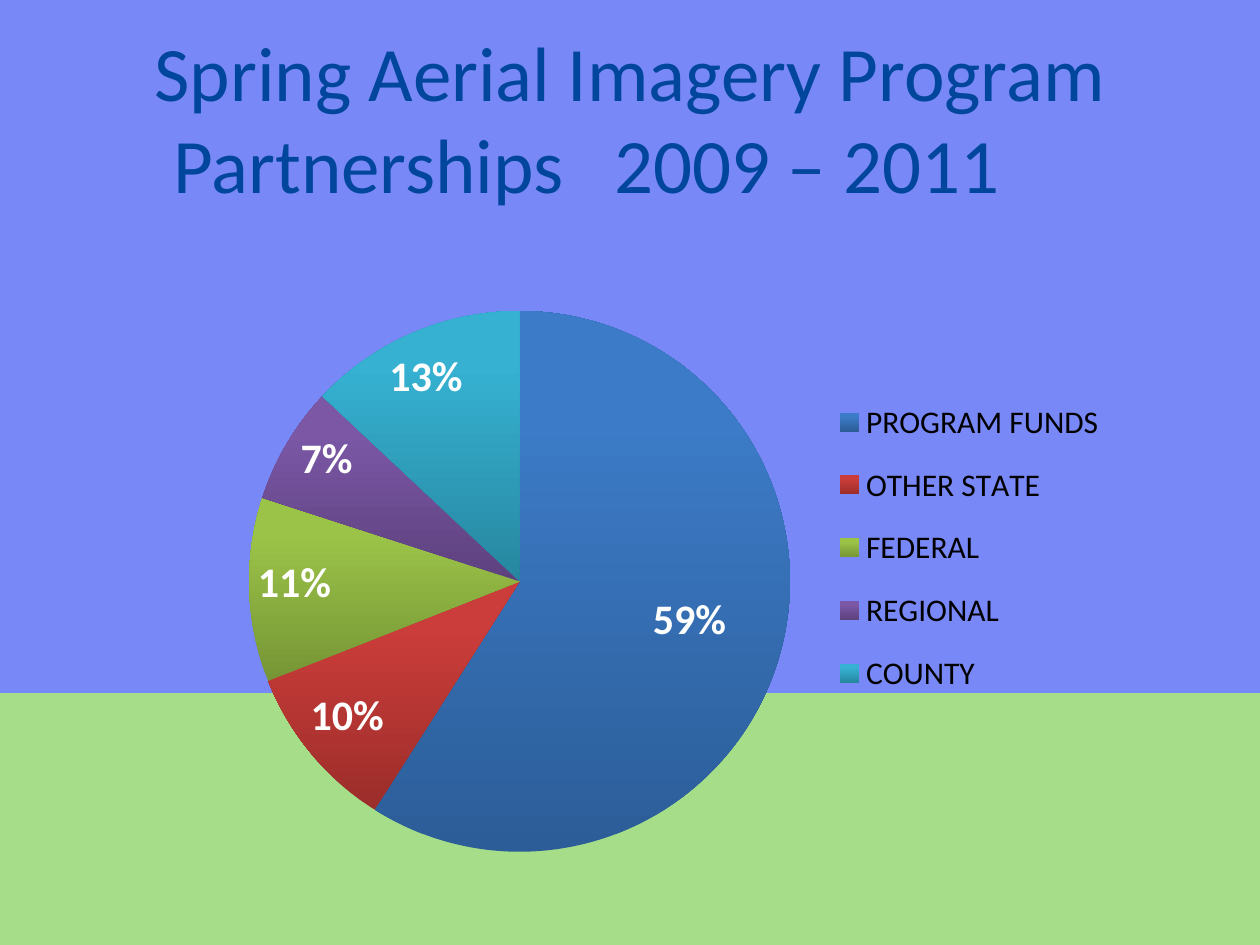
from lxml.etree import SubElement
from pptx import Presentation
from pptx.chart.data import CategoryChartData
from pptx.dml.color import RGBColor
from pptx.enum.chart import XL_CHART_TYPE, XL_LABEL_POSITION, XL_LEGEND_POSITION
from pptx.enum.shapes import MSO_SHAPE
from pptx.enum.text import MSO_ANCHOR, PP_ALIGN
from pptx.oxml import parse_xml
from pptx.oxml.ns import nsdecls, qn
from pptx.util import Pt

SCALE = 914400 / 126
WIDE, HIGH = 1260, 945
FONT = "Calibri"

# Name, percent, colour at foot and top of the slice, label shift in px
SHARES = [
    ("PROGRAM FUNDS", 59, "2C5D98", "3C7BC7", (-46, -8)),
    ("OTHER STATE", 10, "9B2D2A", "CB3D3A", (-6, -7)),
    ("FEDERAL", 11, "769535", "9BC348", (1, -6)),
    ("REGIONAL", 7, "5D417E", "7B57A5", (8, -13)),
    ("COUNTY", 13, "2787A0", "36B1D2", (-26, 12)),
]


def px(n):
    return round(n * SCALE)


def rgb(code):
    return RGBColor.from_string(code)


def style(font, size, color, bold=False):
    font.name, font.size, font.bold = FONT, Pt(size), bold
    font.color.rgb = rgb(color)


def write(frame, text, size, color, left=0, first=0, tab=0):
    """Fill a frame with one paragraph; left, first and tab are in px."""
    para = frame.paragraphs[0]
    para.text = text
    para.alignment = PP_ALIGN.LEFT
    props = para._p.get_or_add_pPr()
    props.set("marL", str(px(left)))
    props.set("indent", str(px(first)))
    tabs = SubElement(props, qn("a:tabLst"))
    SubElement(tabs, qn("a:tab"), pos=str(px(tab)), algn="l")
    for run in para.runs:
        style(run.font, size, color)


def band(slide, order, x, y, w, h, color):
    shape = slide.shapes.add_shape(MSO_SHAPE.RECTANGLE, px(x), px(y), px(w), px(h))
    shape.shadow.inherit = False
    shape.fill.solid()
    shape.fill.fore_color.rgb = rgb(color)
    shape.line.fill.background()
    # Keep the bands behind the title
    slide.shapes._spTree.insert(2 + order, shape._element)


def backdrop(slide):
    band(slide, 0, 0, 462, WIDE, HIGH - 462, "A5DD89")
    band(slide, 1, 0, 0, WIDE, 693, "7988F7")


def heading(slide, x, y, w, h):
    title = slide.shapes.title
    title.left, title.top, title.width, title.height = map(px, (x, y, w, h))
    frame = title.text_frame
    frame.word_wrap = True
    frame.vertical_anchor = MSO_ANCHOR.MIDDLE
    write(frame, "Spring Aerial Imagery Program Partnerships\t2009 – 2011",
          44, "00469C", left=98, first=-19, tab=685)


def place(x, y, w=None, h=None, inner=False):
    """Manual chart layout, in fractions of the chart box."""
    parts = '<c:layoutTarget val="inner"/>' if inner else ""
    if w:
        parts += '<c:xMode val="edge"/><c:yMode val="edge"/>'
    for tag, val in zip("xywh", (x, y, w, h)):
        if val is not None:
            parts += f'<c:{tag} val="{val:.3f}"/>'
    return parse_xml(f'<c:layout {nsdecls("c")}><c:manualLayout>{parts}'
                     "</c:manualLayout></c:layout>")


def label(index, x, y):
    """Percent label of one slice, shifted by fractions of the chart box."""
    node = parse_xml(
        f'<c:dLbl {nsdecls("c")}><c:idx val="{index}"/>'
        '<c:dLblPos val="inEnd"/><c:showLegendKey val="0"/><c:showVal val="0"/>'
        '<c:showCatName val="0"/><c:showSerName val="0"/>'
        '<c:showPercent val="1"/><c:showBubbleSize val="0"/></c:dLbl>')
    node.insert(1, place(x, y))
    return node


def pie(slide, x, y, w, h):
    data = CategoryChartData()
    data.categories = [share[0] for share in SHARES]
    data.add_series("Series 1", [share[1] for share in SHARES])
    chart = slide.shapes.add_chart(
        XL_CHART_TYPE.PIE, px(x), px(y), px(w), px(h), data).chart
    chart.has_title = False
    style(chart.font, 18, "000000")
    plot = chart.plots[0]
    plot.vary_by_categories = True

    # Plot area: a square for the pie
    area = chart._chartSpace.chart.plotArea
    for old in area.findall(qn("c:layout")):
        area.remove(old)
    area.insert(0, place(123 / w, 65 / h, 541 / w, 541 / h, inner=True))

    # Legend
    chart.has_legend = True
    legend = chart.legend
    legend.position = XL_LEGEND_POSITION.RIGHT
    legend.include_in_layout = False
    style(legend.font, 18, "000000")
    box = legend._element
    for old in box.findall(qn("c:layout")):
        box.remove(old)
    box.find(qn("c:legendPos")).addnext(
        place(696 / w, 132 / h, 294 / w, 339 / h))

    # Percent labels
    series = plot.series[0]
    labels = series.data_labels
    labels.show_percentage = True
    labels.show_value = False
    labels.number_format, labels.number_format_is_linked = "0%", False
    labels.position = XL_LABEL_POSITION.INSIDE_END
    style(labels.font, 24, "FFFFFF", bold=True)

    # Slices, each with its label
    for i, (_, _, foot, top, (dx, dy)) in enumerate(SHARES):
        fill = series.points[i].format.fill
        fill.gradient()
        fill.gradient_angle = 90
        for stop, color, pos in zip(fill.gradient_stops, (foot, top), (0, 0.8)):
            stop.color.rgb = rgb(color)
            stop.position = pos
        labels._element.insert(i, label(i, dx / w, dy / h))


def main():
    deck = Presentation()
    deck.slide_width, deck.slide_height = px(WIDE), px(HIGH)
    slide = deck.slides.add_slide(deck.slide_layouts[5])
    backdrop(slide)
    heading(slide, 63, 38, 1134, 158)
    pie(slide, 126, 246, 1071, 630)
    deck.save("out.pptx")


if __name__ == "__main__":
    main()
